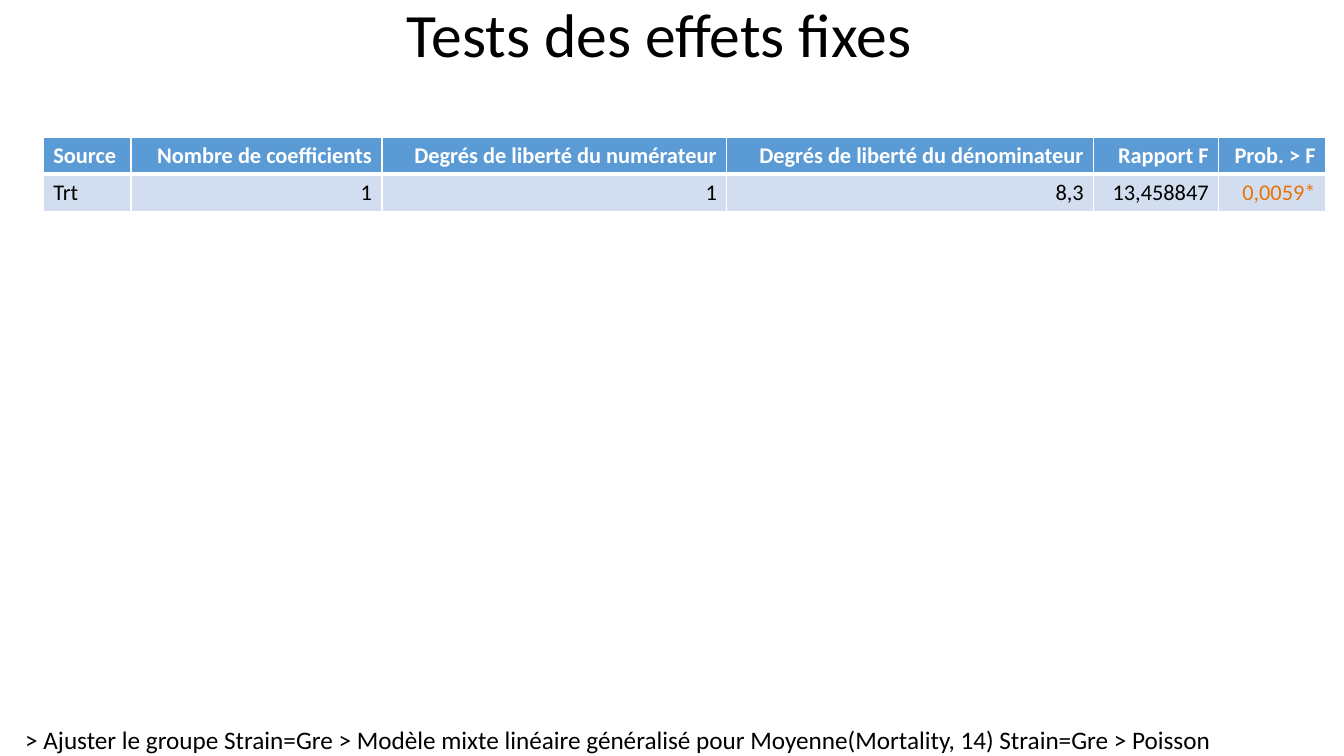
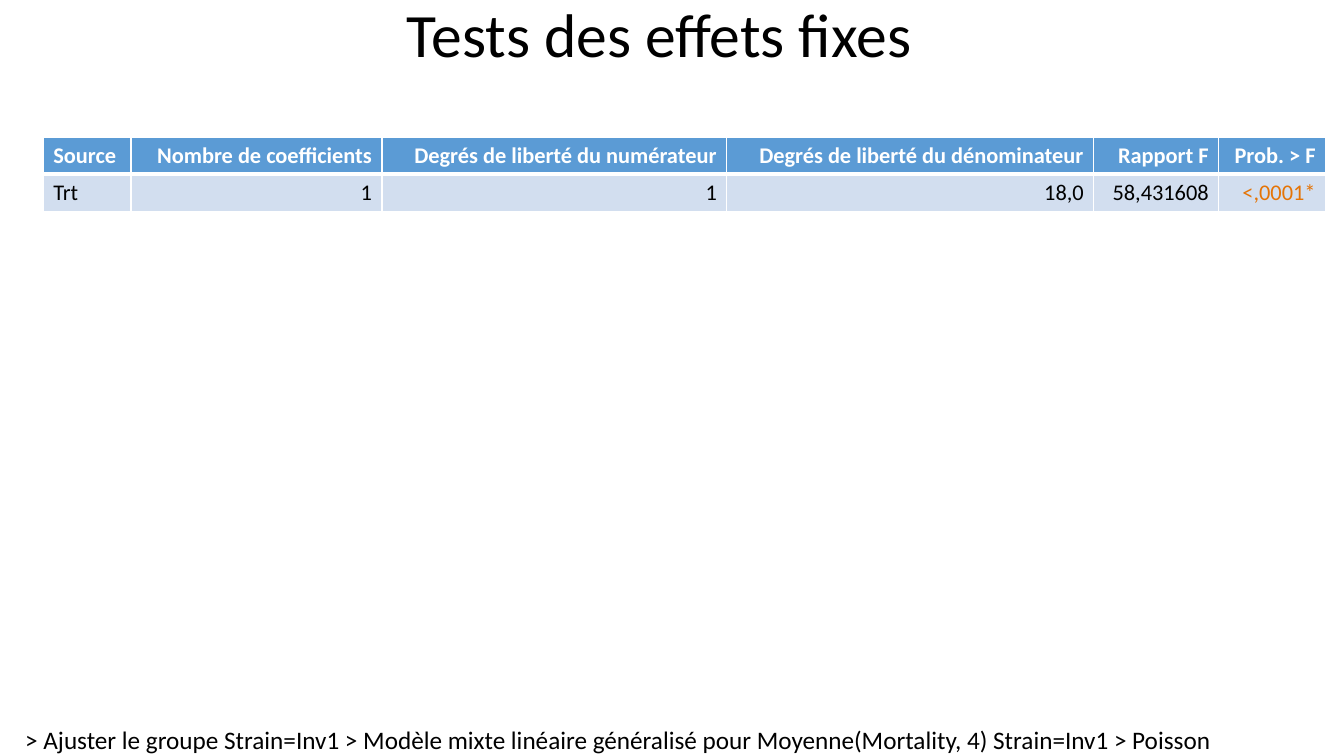
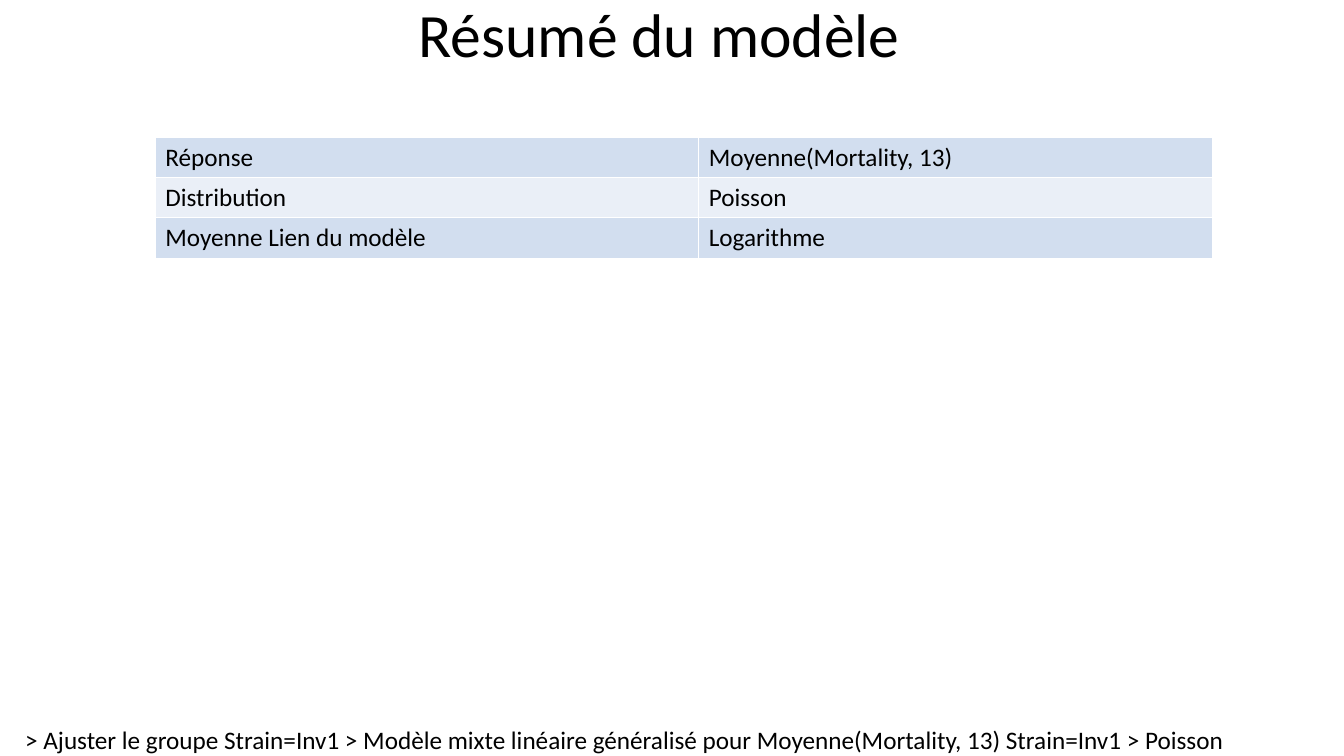
"""Build three slides of mixed-model results, each with a title, a table and a breadcrumb."""
import pptx
import pptx.dml.color
import pptx.enum.text
import pptx.oxml.ns
import pptx.util
from lxml import etree
from pptx.util import Inches

FONT = "Calibri"
BLACK, WHITE, ORANGE = "000000", "FFFFFF", "E57406"
HEADER_FILL, BAND_FILLS = "5B9BD5", ("D2DEEF", "EAEFF7")
LEFT, CENTER, RIGHT = (pptx.enum.text.PP_ALIGN.LEFT, pptx.enum.text.PP_ALIGN.CENTER,
                       pptx.enum.text.PP_ALIGN.RIGHT)

TESTS = {
    "title": "Tests des effets fixes",
    "header": ("Source", "Nombre de coefficients", "Degrés de liberté du numérateur",
               "Degrés de liberté du dénominateur", "Rapport F", "Prob. > F"),
    "left": 0.43, "cols": (0.87, 2.49, 3.42, 3.64, 1.24, 1.06),
    "row_height": 0.37, "size": 16, "number_align": RIGHT,
}
SUMMARY = {
    "title": "Résumé du modèle", "header": None,
    "left": 1.54, "cols": (5.39, 5.1),
    "row_height": 0.4, "size": 18, "number_align": LEFT,
}
SLIDES = [
    (TESTS, [("Trt", "1", "1", "8,3", "13,458847", "0,0059*")], "Gre", 14, 11.83),
    (TESTS, [("Trt", "1", "1", "18,0", "58,431608", "<,0001*")], "Inv1", 4, 11.84),
    (SUMMARY, [("Réponse", "Moyenne(Mortality, 13)"), ("Distribution", "Poisson"),
               ("Moyenne Lien du modèle", "Logarithme")], "Inv1", 13, 11.96),
]
BREADCRUMB = ("> Ajuster le groupe Strain={0} > Modèle mixte linéaire généralisé "
              "pour Moyenne(Mortality, {1}) Strain={0} > Poisson")


def rgb(value):
    return pptx.dml.color.RGBColor.from_string(value)


def write(tf, text, size=18, color=BLACK, bold=False, align=LEFT, spacing=None):
    p = tf.paragraphs[0]
    p.alignment = align
    if spacing:
        p.line_spacing = spacing
    r = p.add_run()
    r.text = text
    r.font.name, r.font.size, r.font.bold = FONT, pptx.util.Pt(size), bold
    r.font.color.rgb = rgb(color)


def add_title(s, text):
    sp = s.shapes.title
    sp.left, sp.top, sp.width, sp.height = 0, 0, Inches(13.08), Inches(0.75)
    tf = sp.text_frame
    tf.auto_size = pptx.enum.text.MSO_AUTO_SIZE.NONE
    tf.vertical_anchor = pptx.enum.text.MSO_ANCHOR.MIDDLE
    write(tf, text, size=44, align=CENTER, spacing=0.9)


def add_breadcrumb(s, text, width):
    tf = s.shapes.add_textbox(Inches(0.25), Inches(7.19), Inches(width), Inches(0.31)).text_frame
    tf.margin_left = tf.margin_top = tf.margin_right = tf.margin_bottom = 0
    tf.word_wrap = False
    tf.auto_size = pptx.enum.text.MSO_AUTO_SIZE.SHAPE_TO_FIT_TEXT
    write(tf, text)


def set_borders(cell, top=1, bottom=1):
    qn = pptx.oxml.ns.qn
    tc_pr = cell._tc.get_or_add_tcPr()
    for side, width in (("L", 1), ("R", 1), ("T", top), ("B", bottom)):
        ln = etree.SubElement(tc_pr, qn("a:ln" + side), w=str(pptx.util.Pt(width)))
        fill = etree.SubElement(ln, qn("a:solidFill"))
        etree.SubElement(fill, qn("a:srgbClr"), val=WHITE)


def add_results(s, layout, body):
    header, cols = layout["header"], layout["cols"]
    rows = ([header] if header else []) + body
    height = layout["row_height"]
    table = s.shapes.add_table(len(rows), len(cols), Inches(layout["left"]), Inches(1.36),
                               Inches(sum(cols)), Inches(height * len(rows))).table
    table.first_row = header is not None
    for col, width in zip(table.columns, cols):
        col.width = Inches(width)
    for i, values in enumerate(rows):
        table.rows[i].height = Inches(height)
        is_header = values is header
        for j, text in enumerate(values):
            cell = table.cell(i, j)
            set_borders(cell, top=3 if header and i == 1 else 1, bottom=3 if is_header else 1)
            cell.fill.solid()
            cell.fill.fore_color.rgb = rgb(HEADER_FILL if is_header else BAND_FILLS[i % 2 if not header else (i - 1) % 2])
            color = WHITE if is_header else ORANGE if text.endswith("*") else BLACK
            write(cell.text_frame, text, size=layout["size"], color=color, bold=is_header,
                  align=layout["number_align"] if j else LEFT)


def main():
    prs = pptx.Presentation()
    prs.slide_width, prs.slide_height = Inches(13.33), Inches(7.5)
    for layout, body, strain, day, width in SLIDES:
        s = prs.slides.add_slide(prs.slide_layouts.get_by_name("Title Only"))
        add_breadcrumb(s, BREADCRUMB.format(strain, day), width)
        add_title(s, layout["title"])
        add_results(s, layout, body)
    prs.save("out.pptx")


if __name__ == "__main__":
    main()
